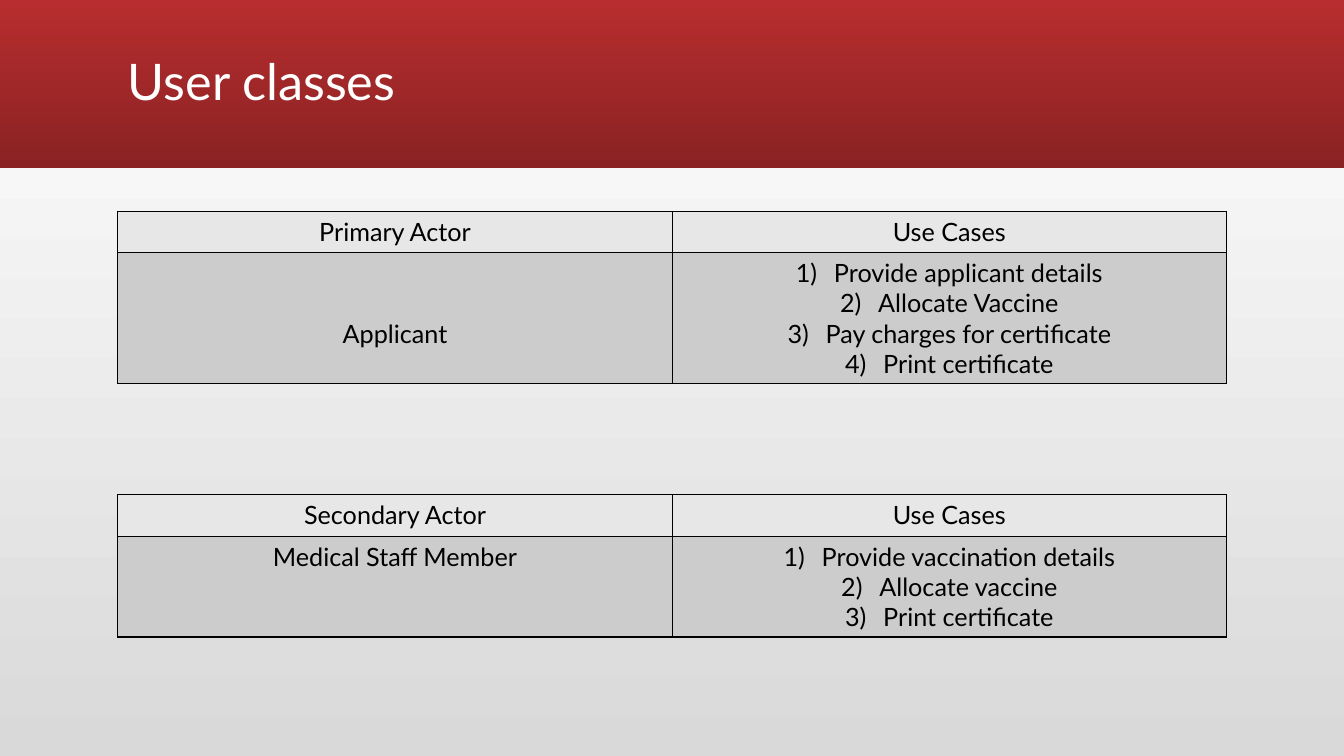
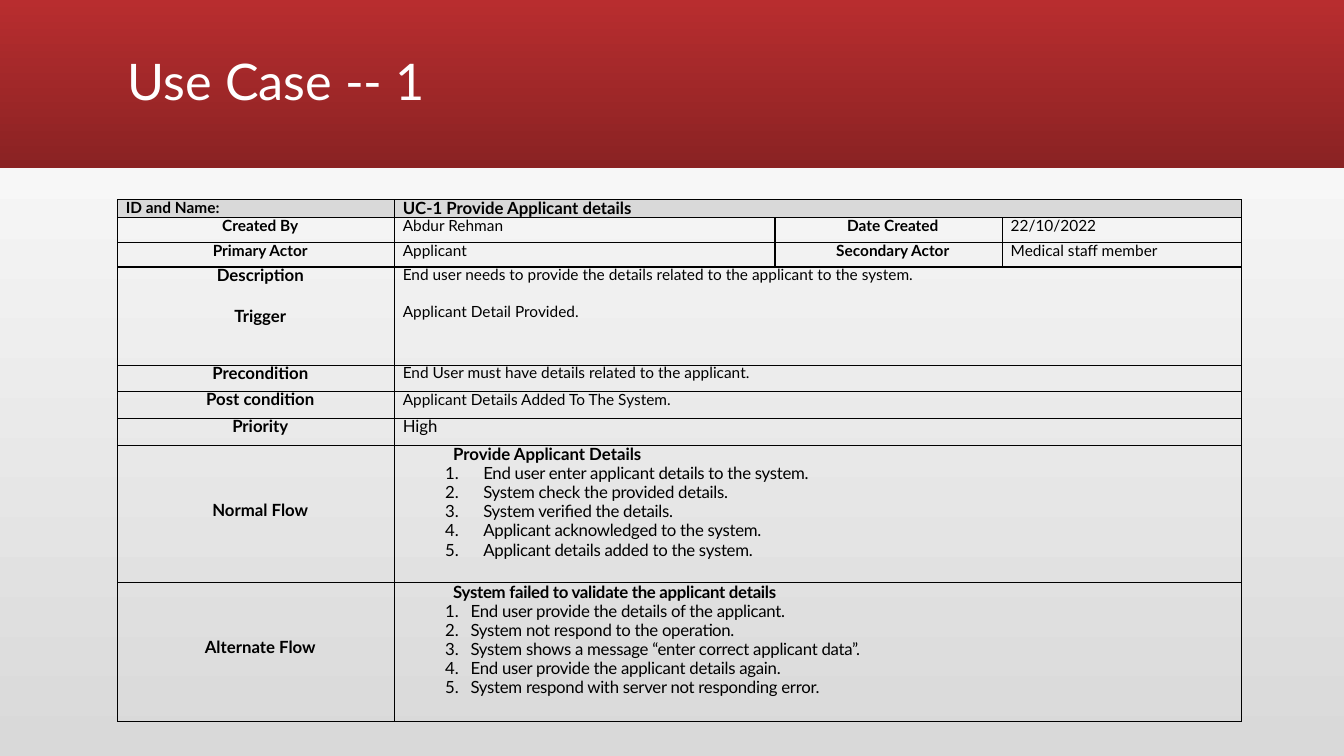
from dataclasses import dataclass
from lxml.etree import SubElement
from pptx import Presentation
from pptx.dml.color import RGBColor
from pptx.enum.shapes import MSO_SHAPE
from pptx.enum.text import MSO_ANCHOR, PP_ALIGN
from pptx.oxml.ns import qn
from pptx.util import Cm, Pt


@dataclass(frozen=True)
class Theme:
    font: str = "Lato"
    ink: str = "000000"
    white: str = "FFFFFF"
    back: tuple = ("D9D9D9", "FFFFFF")
    band: tuple = ("B82D2F", "8A2223")
    head: str = "E7E7E7"
    body: str = "CCCCCC"
    top: str = "D9D9D9"
    title: int = 36
    big: int = 18
    label: int = 12
    small: int = 11


theme = Theme()
LEFT = Cm(2.97)
LEAD = {theme.small: 12.3, theme.label: 12.9}


def grid(page, top, cols, rows):
    frame = page.shapes.add_table(
        len(rows), len(cols), LEFT, Cm(top), Cm(sum(cols)), Cm(sum(rows)))
    table = frame.table
    table.first_row = table.horz_banding = False
    for col, width in zip(table.columns, cols):
        col.width = Cm(width)
    for row, height in zip(table.rows, rows):
        row.height = Cm(height)
    for cell in table.iter_cells():
        props = cell._tc.get_or_add_tcPr()
        for side in ("a:lnL", "a:lnR", "a:lnT", "a:lnB"):
            line = SubElement(props, qn(side), w=str(Pt(1)))
            fill = SubElement(line, qn("a:solidFill"))
            SubElement(fill, qn("a:srgbClr"), val=theme.ink)
        cell.fill.background()
    return table


def style(para, size, bold=False, align=PP_ALIGN.LEFT, color=theme.ink,
          lead=None, left=0, hang=0, num=None, tight=False):
    props = para._p.get_or_add_pPr()
    props.set("marL", str(Cm(left)))
    props.set("indent", str(-Cm(hang)))
    if num:
        SubElement(props, qn("a:buAutoNum"), type=num)
    para.alignment = align
    if lead:
        para.line_spacing = lead
    font = para.font
    font.name, font.size, font.bold = theme.font, Pt(size), bold
    font.color.rgb = RGBColor.from_string(color)
    if tight:
        props.get_or_add_defRPr().set("spc", "-20")


deck = Presentation()
deck.slide_width, deck.slide_height = Cm(33.87), Cm(19.05)
layout = deck.slide_layouts[5]

pages = []
for name in ("User classes", "Use Case -- 1"):
    page = deck.slides.add_slide(layout)
    title = page.shapes.title
    title.left, title.top = LEFT, Cm(0.28)
    title.width, title.height = Cm(27.94), Cm(3.68)
    title.text_frame.text = name
    title.text_frame.vertical_anchor = MSO_ANCHOR.MIDDLE
    style(title.text_frame.paragraphs[0], theme.title, color=theme.white, lead=0.9)
    pages.append(page)
users, case = pages

band = users.shapes.add_shape(MSO_SHAPE.RECTANGLE, 0, 0, deck.slide_width, Cm(4.23))
band.shadow.inherit = False
band.line.fill.background()
layout.shapes.element.insert(2, band.element)
for fill, colors, angle in (
    (deck.slide_master.background.fill, theme.back, 90),
    (band.fill, theme.band, 270),
):
    fill.gradient()
    fill.gradient_angle = angle
    for stop, color in zip(fill.gradient_stops, colors):
        stop.color.rgb = RGBColor.from_string(color)

actors = [
    (5.33, 3.3, 1.65, "Primary Actor", "Applicant",
     ["Provide applicant details", "Allocate Vaccine",
      "Pay charges for certificate", "Print certificate"]),
    (12.47, 2.54, 0.13, "Secondary Actor", "Medical Staff Member",
     ["Provide vaccination details", "Allocate vaccine", "Print certificate"]),
]
for top, height, inset, role, actor, tasks in actors:
    table = grid(users, top, [13.97] * 2, [1.04, height])
    texts = [role, "Use Cases", actor, "\n".join(tasks)]
    fills = [theme.head] * 2 + [theme.body] * 2
    for cell, text, color in zip(table.iter_cells(), texts, fills):
        cell.fill.solid()
        cell.fill.fore_color.rgb = RGBColor.from_string(color)
        cell.text_frame.text = text
        for para in cell.text_frame.paragraphs:
            style(para, theme.big, align=PP_ALIGN.CENTER)
    table.cell(1, 0).margin_top = Cm(inset)
    for para in table.cell(1, 1).text_frame.paragraphs:
        style(para, theme.big, align=PP_ALIGN.CENTER,
              left=0.96, hang=0.96, num="arabicParenR")

facts = [
    ("ID and Name:", "UC-1 Provide Applicant details"),
    ("Created By", "Abdur Rehman", "Date Created", "22/10/2022"),
    ("Primary Actor", "Applicant", "Secondary Actor", "Medical staff member"),
    ("Description\nTrigger",
     "End user needs to provide the details related to the applicant to the system.\n"
     "Applicant Detail Provided."),
    ("Precondition", "End User must have details related to the applicant."),
    ("Post condition", "Applicant Details Added To The System."),
    ("Priority", "High"),
    ("Normal Flow",),
    ("Alternate Flow",),
]
table = grid(case, 5.03, [6.98, 9.58, 5.74, 6.02],
             [0.46, 0.62, 0.62, 2.47, 0.66, 0.68, 0.68, 3.46, 3.5])
for cell in table.iter_cells():
    cell.margin_left = cell.margin_right = cell.margin_top = cell.margin_bottom = 0
for r, fact in enumerate(facts):
    if len(fact) < 4:
        table.cell(r, 1).merge(table.cell(r, 3))
    for c, text in enumerate(fact):
        cell = table.cell(r, c)
        cell.text_frame.text = text
        label = c % 2 == 0
        large = (label and r > 2) or text == "High" or (r == 0 and c == 1)
        size = theme.label if large else theme.small
        for n, para in enumerate(cell.text_frame.paragraphs):
            style(para, size, bold=label or r == 0,
                  align=PP_ALIGN.CENTER if label and r else PP_ALIGN.LEFT,
                  lead=Pt(LEAD[size]), left=0.2)
            if n:
                para.space_before = Pt(16 if label else 14)
for cell in table.rows[0].cells:
    cell.fill.solid()
    cell.fill.fore_color.rgb = RGBColor.from_string(theme.top)

flows = [
    (7, 0.96, "Provide Applicant Details",
     ["End user enter applicant details to the system.",
      "System check the provided details.",
      "System verified the details.",
      "Applicant acknowledged to the system.",
      "Applicant details added to the system."]),
    (8, 0.64, "System failed to validate the applicant details",
     ["End user provide the details of the applicant.",
      "System not respond to the operation.",
      "System shows a message “enter correct applicant data”.",
      "End user provide the applicant details again.",
      "System respond with server not responding error."]),
]
for r, hang, head, steps in flows:
    table.cell(r, 0).margin_top = Cm(1.43)
    frame = table.cell(r, 1).text_frame
    frame.text = "\n".join([head] + steps)
    first, *rest = frame.paragraphs
    style(first, theme.label, bold=True, lead=Pt(13.6), left=1.47, tight=r == 8)
    for para in rest:
        style(para, theme.label, lead=Pt(13.6), left=1.27 + hang, hang=hang,
              num="arabicPeriod", tight=True)

deck.save("out.pptx")
